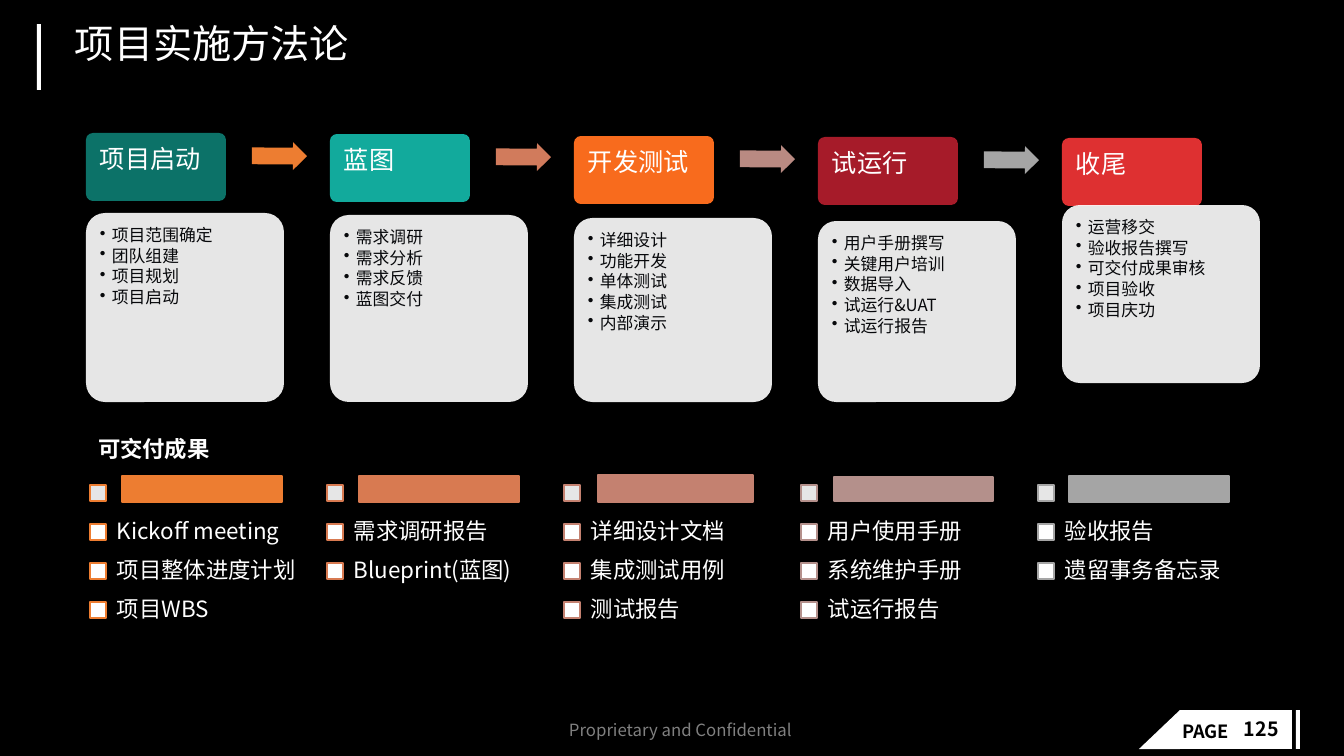
from lxml import etree
from pptx import Presentation
from pptx.dml.color import RGBColor
from pptx.enum import shapes, text
from pptx.oxml import ns
from pptx import util as u

KIND = shapes.MSO_SHAPE
HUES = {
    "black": "000000", "white": "FFFFFF", "gray": "808080", "ink": "07080B",
    "pine": "0C7268", "teal": "12AA9C", "orange": "F86B1D",
    "wine": "A61B29", "red": "DE3031",
    "arrow1": "ED7D31", "arrow2": "D17B5C", "arrow3": "B98A82", "arrow4": "A5A5A5",
    "bar1": "ED7D31", "bar2": "D87A51", "bar3": "C48170",
    "bar4": "B4908B", "bar5": "A5A5A5",
}

# name, colour, top of card, tasks
PHASES = [
    ("项目启动", "pine", 213, ["项目范围确定", "团队组建", "项目规划", "项目启动"]),
    ("蓝图", "teal", 215, ["需求调研", "需求分析", "需求反馈", "蓝图交付"]),
    ("开发测试", "orange", 218,
     ["详细设计", "功能开发", "单体测试", "集成测试", "内部演示"]),
    ("试运行", "wine", 221,
     ["用户手册撰写", "关键用户培训", "数据导入", "试运行&UAT", "试运行报告"]),
    ("收尾", "red", 205,
     ["运营移交", "验收报告撰写", "可交付成果审核", "项目验收", "项目庆功"]),
]

# place of bar, deliverables
RESULTS = [
    ((122, 476, 160, 26), ["Kickoff meeting", "项目整体进度计划", "项目WBS"]),
    ((359, 476, 160, 26), ["需求调研报告", "Blueprint(蓝图)"]),
    ((598, 475, 155, 27), ["详细设计文档", "集成测试用例", "测试报告"]),
    ((834, 477, 159, 24), ["用户使用手册", "系统维护手册", "试运行报告"]),
    ((1069, 476, 160, 26), ["验收报告", "遗留事务备忘录"]),
]


def px(count):
    return u.Emu(round(count * 914400 / 100.8))


def hue(name):
    return RGBColor.from_string(HUES[name])


class Deck:
    face = "Noto Sans CJK SC"

    def __init__(self):
        self.show = Presentation()
        self.show.slide_width, self.show.slide_height = px(1344), px(756)
        self.slide = self.show.slides.add_slide(self.show.slide_layouts[6])
        back = self.slide.background.fill
        back.solid()
        back.fore_color.rgb = hue("black")

    def shape(self, kind, place, fill, line=None, adjust=(), alpha=None):
        item = self.slide.shapes.add_shape(kind, *map(px, place))
        item.shadow.inherit = False
        for spot, value in enumerate(adjust):
            item.adjustments[spot] = value
        item.fill.solid()
        item.fill.fore_color.rgb = hue(fill)
        if alpha:
            tint = item.element.spPr.find(".//" + ns.qn("a:srgbClr"))
            etree.SubElement(tint, ns.qn("a:alpha")).set("val", str(alpha * 1000))
        if line:
            item.line.color.rgb = hue(line)
            item.line.width = u.Pt(1)
        else:
            item.line.fill.background()
        return item

    def text(self, place, lines, size, color="white", bold=False, inset=(10, 5, 10, 5),
             middle=False, wrap=True, bullet=False, space=0.9):
        frame = self.slide.shapes.add_textbox(*map(px, place)).text_frame
        frame.word_wrap = wrap
        (frame.margin_left, frame.margin_top,
         frame.margin_right, frame.margin_bottom) = map(px, inset)
        frame.vertical_anchor = text.MSO_ANCHOR.MIDDLE if middle else text.MSO_ANCHOR.TOP
        for rank, words in enumerate(lines):
            para = frame.add_paragraph() if rank else frame.paragraphs[0]
            para.line_spacing = space
            if bullet:
                self.bullet(para)
            run = para.add_run()
            run.text = words
            font = run.font
            font.name, font.size, font.bold = self.face, u.Pt(size), bold
            font.color.rgb = hue(color)
            east = etree.SubElement(run._r.get_or_add_rPr(), ns.qn("a:ea"))
            east.set("typeface", self.face)

    def bullet(self, para):
        para.space_after = u.Pt(1.8)
        props = para._p.get_or_add_pPr()
        props.set("marL", str(px(12)))
        props.set("indent", str(-px(12)))
        etree.SubElement(props, ns.qn("a:buChar")).set("char", "•")

    def phase(self, rank, name, color, top, tasks):
        left, head = 86 + 244 * rank, round(133 + 1.25 * rank)
        self.shape(KIND.ROUNDED_RECTANGLE, (left, head, 140, 68), color, adjust=[0.1])
        self.text((left, head, 140, 45), [name], 18, inset=(14, 14, 14, 7))
        high = 189 - 11 * rank // 4
        self.shape(KIND.ROUNDED_RECTANGLE, (left, top, 198, high), "white",
                   adjust=[0.1], alpha=90)
        self.text((left + 5, top + 5, 187, high - 10), tasks, 12, "ink",
                  inset=(9, 9, 9, 9), bullet=True)
        if rank < len(PHASES) - 1:
            arrow = self.shape(KIND.RIGHT_ARROW, (left + 166, head + 9, 55, 28),
                               f"arrow{rank + 1}", adjust=[0.6, 0.5])
            arrow.rotation = 0.3

    def result(self, rank, place, names):
        """Draw one column of deliverables with its bar and check boxes."""
        left, color = 90 + 237 * rank, f"bar{rank + 1}"
        self.shape(KIND.RECTANGLE, place, color, color)
        self.shape(KIND.RECTANGLE, (left, 485, 16, 16), "white", color, alpha=90)
        for row, name in enumerate(names, 1):
            top = 485 + 39 * row
            self.shape(KIND.RECTANGLE, (left, top, 16, 16), "white", color)
            self.text((left + 15, top - 11, 210, 38), [name], 16,
                      inset=(12, 12, 12, 12), middle=True)

    def footer(self):
        for left, width in ((1180, 110), (1284, 8), (1296, 4)):
            self.shape(KIND.RECTANGLE, (left, 710, width, 39), "white")
        wedge = self.shape(KIND.RIGHT_TRIANGLE, (1139, 710, 41, 39), "white")
        wedge.element.spPr.xfrm.set("flipH", "1")
        self.text((1172, 715, 74, 32), ["PAGE"], 13, "black", True, wrap=False, space=1)
        self.text((1234, 715, 58, 32), ["125"], 14, "black", True)
        self.text((559, 715, 258, 30), ["Proprietary and Confidential"], 12, "gray",
                  wrap=False, space=1)


def main():
    deck = Deck()
    deck.footer()
    deck.shape(KIND.RECTANGLE, (37, 24, 4, 66), "white")
    deck.text((65, 20, 1242, 71), ["项目实施方法论"], 28)
    deck.text((90, 427, 226, 47), ["可交付成果"], 16, bold=True,
              inset=(8, 2, 3, 2), middle=True)
    for rank, column in enumerate(RESULTS):
        deck.result(rank, *column)
    for rank, stage in enumerate(PHASES):
        deck.phase(rank, *stage)
    deck.show.save("out.pptx")


if __name__ == "__main__":
    main()
